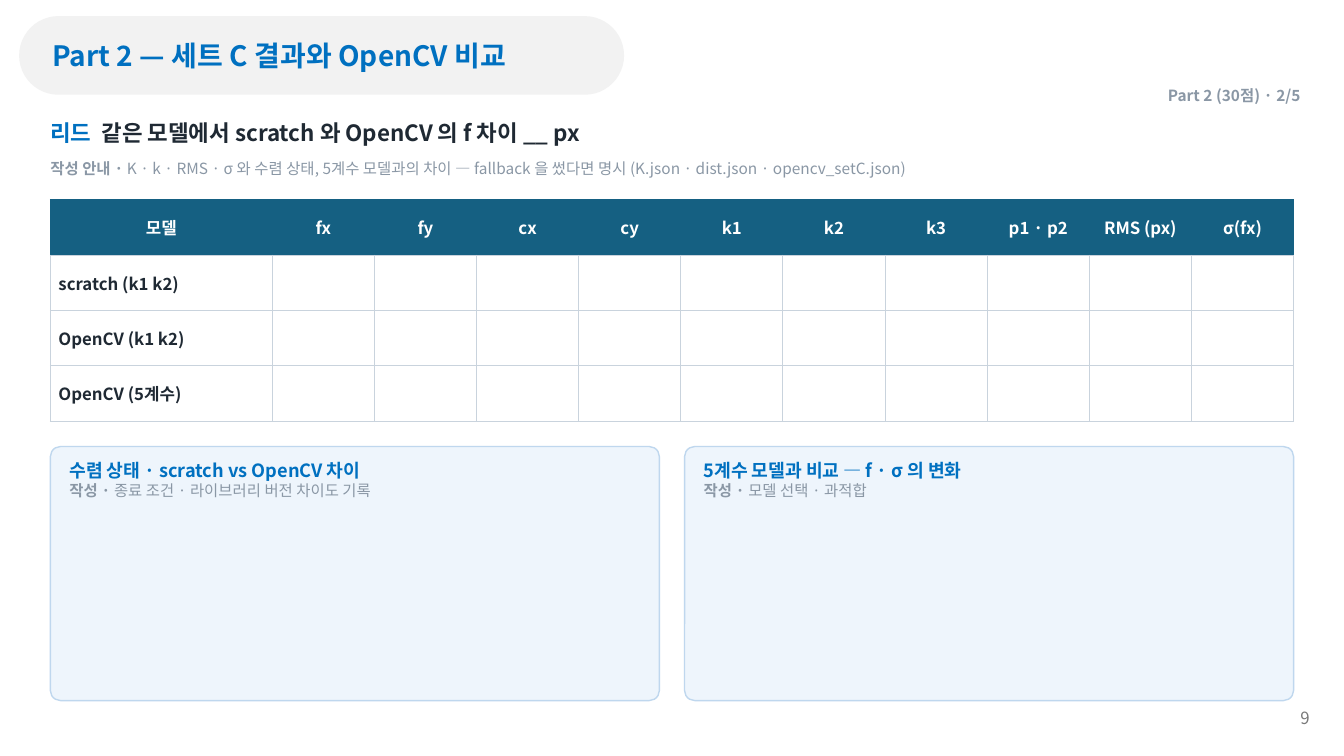
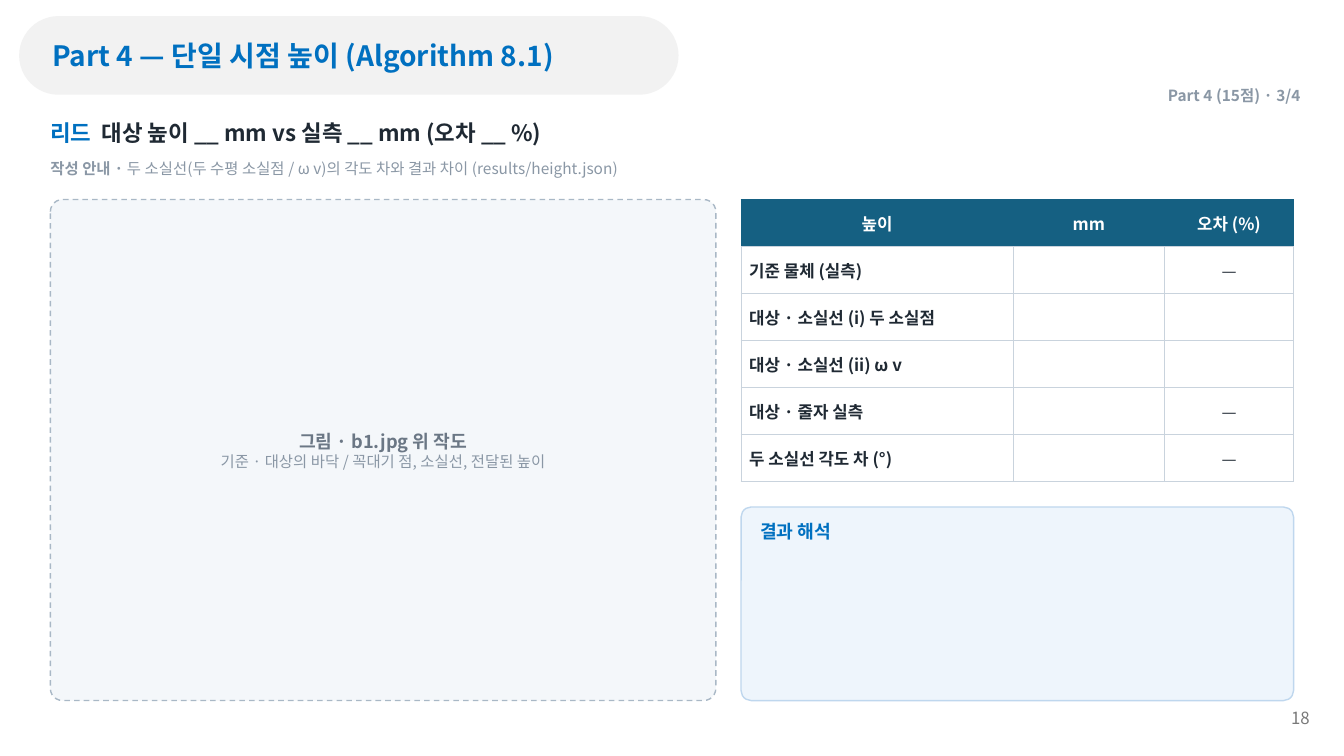
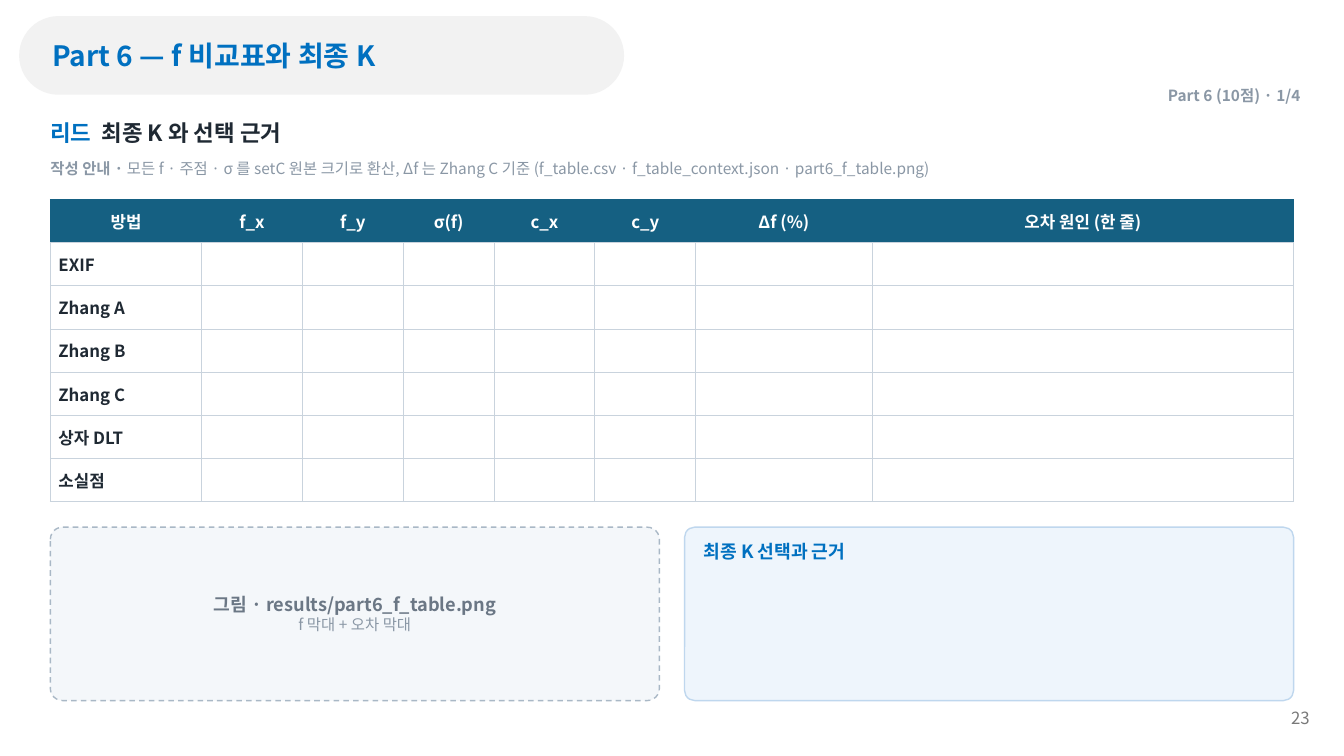
from lxml import etree
from pptx import Presentation
from pptx.dml.color import RGBColor
from pptx.enum.dml import MSO_LINE
from pptx.enum.shapes import MSO_SHAPE
from pptx.enum.text import MSO_ANCHOR, MSO_AUTO_SIZE, PP_ALIGN
from pptx.oxml.ns import qn
from pptx.util import Inches, Pt

LEFT_ALIGN, CENTER, RIGHT = PP_ALIGN.LEFT, PP_ALIGN.CENTER, PP_ALIGN.RIGHT
TOP_ANCHOR, MIDDLE = MSO_ANCHOR.TOP, MSO_ANCHOR.MIDDLE
ROUNDED, DASH = MSO_SHAPE.ROUNDED_RECTANGLE, MSO_LINE.DASH

FONT = "Noto Sans CJK KR"
COLORS = {
    "accent": "0070C0", "ink": "1F2933", "muted": "8A97A5", "caption": "6B7785",
    "number": "797979", "pill": "F2F2F2", "white": "FFFFFF",
    "header": "156082", "grid": "C9D3DD",
    "note": "EEF5FC", "note_line": "BFD7EE",
    "figure": "F4F7FA", "figure_line": "A9B8C6",
}

SLIDE_W, SLIDE_H = 13.33, 7.5
LEFT, TOP, BOTTOM, GAP = 0.5, 1.98, 6.95, 0.25
WIDTH = SLIDE_W - 2 * LEFT
HALF = (WIDTH - GAP) / 2
RIGHT_HALF = LEFT + HALF + GAP
FIGURE_W = 6.6
SIDE_X = LEFT + FIGURE_W + GAP
SIDE_W = WIDTH - FIGURE_W - GAP

SLIDES = [
    {
        "title": "Part 2 — 세트 C 결과와 OpenCV 비교", "pill_w": 6, "number": "9",
        "section": "Part 2 (30점) · 2/5",
        "lead": "같은 모델에서 scratch 와 OpenCV 의 f 차이 __ px",
        "guide": "K · k · RMS · σ 와 수렴 상태, 5계수 모델과의 차이 — fallback 을 썼다면 명시 "
                 "(K.json · dist.json · opencv_setC.json)",
        "table": {
            "x": LEFT, "h": 2.2, "cols": [2.2] + [(WIDTH - 2.2) / 10] * 10,
            "rows": [
                ("모델", "fx", "fy", "cx", "cy", "k1", "k2", "k3", "p1 · p2", "RMS (px)", "σ(fx)"),
                ("scratch (k1 k2)",), ("OpenCV (k1 k2)",), ("OpenCV (5계수)",),
            ],
        },
        "panels": [
            ("note", LEFT, 4.43, HALF, "수렴 상태 · scratch vs OpenCV 차이",
             "종료 조건 · 라이브러리 버전 차이도 기록"),
            ("note", RIGHT_HALF, 4.43, HALF, "5계수 모델과 비교 — f · σ 의 변화",
             "모델 선택 · 과적합"),
        ],
    },
    {
        "title": "Part 4 — 단일 시점 높이 (Algorithm 8.1)", "pill_w": 6.54, "number": "18",
        "section": "Part 4 (15점) · 3/4",
        "lead": "대상 높이 __ mm vs 실측 __ mm (오차 __ %)",
        "guide": "두 소실선(두 수평 소실점 / ω v)의 각도 차와 결과 차이 (results/height.json)",
        "table": {
            "x": SIDE_X, "h": 2.8, "cols": [2.7, 1.5, 1.28],
            "rows": [
                ("높이", "mm", "오차 (%)"),
                ("기준 물체 (실측)", "", "—"),
                ("대상 · 소실선 (i) 두 소실점",),
                ("대상 · 소실선 (ii) ω v",),
                ("대상 · 줄자 실측", "", "—"),
                ("두 소실선 각도 차 (°)", "", "—"),
            ],
        },
        "panels": [
            ("figure", LEFT, TOP, FIGURE_W, "그림 · b1.jpg 위 작도",
             "기준 · 대상의 바닥 / 꼭대기 점, 소실선, 전달된 높이"),
            ("note", SIDE_X, 5.03, SIDE_W, "결과 해석", ""),
        ],
    },
    {
        "title": "Part 6 — f 비교표와 최종 K", "pill_w": 6, "number": "23",
        "section": "Part 6 (10점) · 1/4",
        "lead": "최종 K 와 선택 근거",
        "guide": "모든 f · 주점 · σ 를 setC 원본 크기로 환산, Δf 는 Zhang C 기준 "
                 "(f_table.csv · f_table_context.json · part6_f_table.png)",
        "table": {
            "x": LEFT, "h": 3, "cols": [1.5, 1, 1, 0.9, 1, 1, 1.75, 4.18],
            "rows": [
                ("방법", "f_x", "f_y", "σ(f)", "c_x", "c_y", "Δf (%)", "오차 원인 (한 줄)"),
                ("EXIF",), ("Zhang A",), ("Zhang B",), ("Zhang C",), ("상자 DLT",), ("소실점",),
            ],
        },
        "panels": [
            ("figure", LEFT, 5.23, HALF, "그림 · results/part6_f_table.png", "f 막대 + 오차 막대"),
            ("note", RIGHT_HALF, 5.23, HALF, "최종 K 선택과 근거", ""),
        ],
    },
]

PANELS = {
    "note": {"radius": 0.1, "heading": "accent", "align": LEFT_ALIGN, "anchor": TOP_ANCHOR,
             "insets": (0.16, 0.1, 0.16, 0.08), "prefix": "작성 · "},
    "figure": {"radius": 0.12, "heading": "caption", "align": CENTER, "anchor": MIDDLE,
               "insets": (0.12,) * 4, "prefix": ""},
}


def rgb(name):
    return RGBColor.from_string(COLORS[name])


def add_text(p, text, size=12, color="ink", bold=False, align=LEFT_ALIGN):
    p.alignment = align
    r = p.add_run()
    r.text = text
    r.font.name, r.font.size, r.font.bold = FONT, Pt(size), bold
    r.font.color.rgb = rgb(color)
    etree.SubElement(r.font._element, qn("a:ea"), typeface=FONT)


def set_frame(tf, insets=(0, 0, 0, 0), anchor=MIDDLE):
    """Set insets (left, top, right, bottom), wrapping and anchor; return the first paragraph."""
    tf.margin_left, tf.margin_top, tf.margin_right, tf.margin_bottom = map(Inches, insets)
    tf.word_wrap, tf.auto_size, tf.vertical_anchor = True, MSO_AUTO_SIZE.NONE, anchor
    return tf.paragraphs[0]


def add_box(s, *at):
    return set_frame(s.shapes.add_textbox(*map(Inches, at)).text_frame)


def add_rounded(s, x, y, w, h, radius, fill, line=None):
    sp = s.shapes.add_shape(ROUNDED, *map(Inches, (x, y, w, h)))
    sp.adjustments[0] = radius / min(w, h)
    sp.shadow.inherit = False
    sp.fill.solid()
    sp.fill.fore_color.rgb = rgb(fill)
    if line:
        sp.line.color.rgb = rgb(line)
        sp.line.width = Pt(1)
    else:
        sp.line.fill.background()
    return sp


def add_header(s, slide):
    at = (0.19, 0.16, slide["pill_w"], 0.78)
    pill = add_rounded(s, *at, at[3] / 2, "pill")
    title = s.shapes.title
    pill._element.getparent().insert(2, pill._element)
    title.left, title.top, title.width, title.height = map(Inches, at)
    add_text(set_frame(title.text_frame, (0.33, 0.05, 0.1, 0.05)), slide["title"],
             size=20, color="accent", bold=True)

    add_text(add_box(s, 12.54, 6.92, 0.45, 0.4), slide["number"], color="number", align=RIGHT)
    add_text(add_box(s, 9.45, 0.8, 3.45, 0.3), slide["section"],
             size=11, color="muted", bold=True, align=RIGHT)
    p = add_box(s, LEFT, 1.1, WIDTH, 0.42)
    add_text(p, "리드  ", size=16, color="accent", bold=True)
    add_text(p, slide["lead"], size=16, bold=True)
    p = add_box(s, LEFT, 1.5, WIDTH, 0.34)
    add_text(p, "작성 안내 · ", size=11, color="muted", bold=True)
    add_text(p, slide["guide"], size=11, color="muted")


def style_cell(cell, fill, border):
    tcPr = cell._tc.get_or_add_tcPr()
    for side in ("a:lnL", "a:lnR", "a:lnT", "a:lnB"):
        ln = etree.SubElement(tcPr, qn(side), w=str(Pt(0.75)))
        solid = etree.SubElement(ln, qn("a:solidFill"))
        etree.SubElement(solid, qn("a:srgbClr"), val=COLORS[border])
    cell.fill.solid()
    cell.fill.fore_color.rgb = rgb(fill)
    cell.margin_left = cell.margin_right = Inches(0.08)
    cell.margin_top = cell.margin_bottom = Inches(0.03)
    cell.vertical_anchor = MIDDLE


def add_grid(s, x, h, cols, rows):
    at = map(Inches, (x, TOP, sum(cols), h))
    table = s.shapes.add_table(len(rows), len(cols), *at).table
    table.first_row = table.horz_banding = False
    for column, width in zip(table.columns, cols):
        column.width = Inches(width)
    for i, row in enumerate(rows):
        head = i == 0
        for j in range(len(cols)):
            cell = table.cell(i, j)
            style_cell(cell, *(("header", "header") if head else ("white", "grid")))
            if j < len(row) and row[j]:
                add_text(cell.text_frame.paragraphs[0], row[j],
                         color="white" if head else "ink", bold=head or j == 0,
                         align=CENTER if head or j else LEFT_ALIGN)


def add_panel(s, kind, x, y, w, heading, detail):
    """Add a rounded panel that reaches down to the bottom margin."""
    style = PANELS[kind]
    sp = add_rounded(s, x, y, w, BOTTOM - y, style["radius"], kind, kind + "_line")
    if kind == "figure":
        sp.line.dash_style = DASH
    tf = sp.text_frame
    p = set_frame(tf, style["insets"], style["anchor"])
    add_text(p, heading, size=13, color=style["heading"], bold=True, align=style["align"])
    if detail:
        p = tf.add_paragraph()
        if style["prefix"]:
            add_text(p, style["prefix"], size=11, color="muted", bold=True)
        add_text(p, detail, size=11, color="muted", align=style["align"])


def main():
    prs = Presentation()
    prs.slide_width, prs.slide_height = Inches(SLIDE_W), Inches(SLIDE_H)
    title_only = prs.slide_layouts[5]
    for slide in SLIDES:
        s = prs.slides.add_slide(title_only)
        add_header(s, slide)
        add_grid(s, **slide["table"])
        for panel in slide["panels"]:
            add_panel(s, *panel)
    prs.save("out.pptx")


if __name__ == "__main__":
    main()
